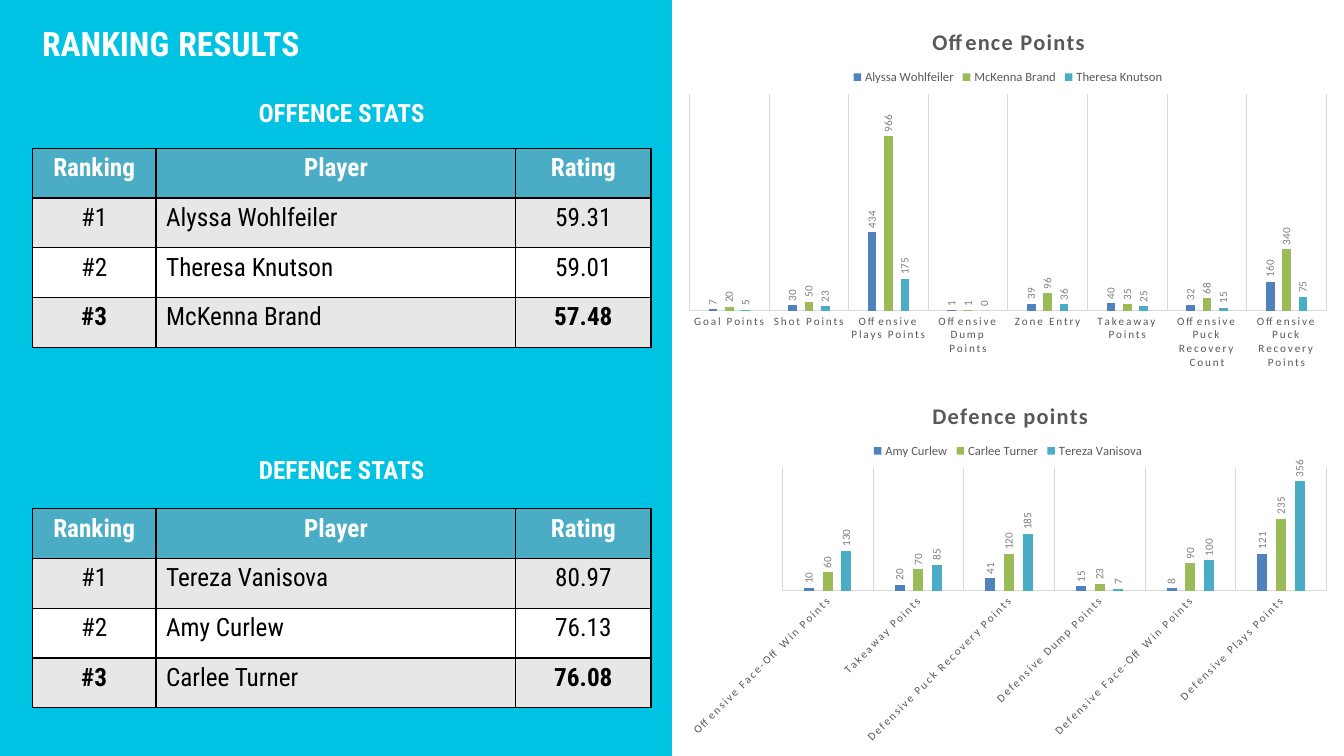
"""Build the ranking results slide with two tables and two column charts."""
from lxml.etree import SubElement
from pptx import Presentation
from pptx.chart.data import CategoryChartData
from pptx.dml.color import RGBColor
from pptx.enum.chart import XL_CHART_TYPE, XL_LABEL_POSITION, XL_LEGEND_POSITION, XL_TICK_MARK
from pptx.enum.shapes import MSO_SHAPE
from pptx.enum.text import PP_ALIGN
from pptx.oxml import parse_xml
from pptx.oxml.ns import nsdecls, qn
from pptx.util import Pt

CYAN = RGBColor(0x00, 0xC2, 0xE2)
WHITE = RGBColor(0xFF, 0xFF, 0xFF)
BLACK = RGBColor(0x00, 0x00, 0x00)
BAND = RGBColor(0xE7, 0xE7, 0xE7)
BLUE = RGBColor(0x4F, 0x81, 0xBD)
GREEN = RGBColor(0x9B, 0xBB, 0x59)
TEAL = RGBColor(0x4B, 0xAC, 0xC6)
RULE = RGBColor(0xD9, 0xD9, 0xD9)
DARK_GREY = RGBColor(0x59, 0x59, 0x59)
GREY = RGBColor(0x80, 0x80, 0x80)


def style_font(font, size, color, name="Calibri", bold=False):
    font.size, font.name, font.bold = Pt(size), name, bold
    font.color.rgb = color


def write(frame, *spans, size=18, color=WHITE, name="Roboto Condensed", bold=True,
          align=PP_ALIGN.CENTER):
    para = frame.paragraphs[0]
    para.alignment = align
    for text, span_size in spans:
        span = para.add_run()
        span.text = text
        style_font(span.font, span_size or size, color, name, bold)


def place(element, index, **edges):
    for old in element.findall(qn("c:layout")):
        element.remove(old)
    layout = parse_xml(f'<c:layout {nsdecls("c")}><c:manualLayout/></c:layout>')
    if element.tag == qn("c:plotArea"):
        SubElement(layout[0], qn("c:layoutTarget")).set("val", "inner")
    for axis in "xy":
        SubElement(layout[0], qn(f"c:{axis}Mode")).set("val", "edge")
    for key, value in edges.items():
        SubElement(layout[0], qn(f"c:{key}")).set("val", str(value))
    element.insert(index, layout)


def rotate(element, degrees):
    body = element.find(qn("c:txPr")).find(qn("a:bodyPr"))
    body.set("rot", str(degrees * 60000))
    body.set("vert", "horz")


class RankingSlide:
    def __init__(self, page):
        self.page = page
        self.left, self.width = 23, 442

    def panel(self, width, height):
        box = self.page.shapes.add_shape(MSO_SHAPE.RECTANGLE, 0, 0, Pt(width), Pt(height))
        box.shadow.inherit = False
        box.fill.solid()
        box.fill.fore_color.rgb = CYAN
        box.line.fill.background()

    def heading(self, top, height, *spans, width=None, **style):
        box = self.page.shapes.add_textbox(Pt(self.left), Pt(top), Pt(width or self.width), Pt(height))
        box.text_frame.word_wrap = True
        write(box.text_frame, *spans, **style)

    def cell(self, cell, text, fill, **style):
        write(cell.text_frame, (text, None), **style)
        cell.fill.solid()
        cell.fill.fore_color.rgb = fill
        for index, side in enumerate("LRTB"):
            cell._tc.get_or_add_tcPr().insert(index, parse_xml(
                f'<a:ln{side} {nsdecls("a")} w="12700"><a:solidFill>'
                f'<a:srgbClr val="{BLACK}"/></a:solidFill></a:ln{side}>'))

    def ranking(self, top, players):
        rows = [("Ranking", "Player", "Rating")]
        rows += [(f"#{rank}", *player) for rank, player in enumerate(players, 1)]
        table = self.page.shapes.add_table(len(rows), 3, Pt(self.left), Pt(top),
                                           Pt(self.width), Pt(142)).table
        for column, width in zip(table.columns, (88.5, 257, 96.5)):
            column.width = Pt(width)
        for r, row in enumerate(rows):
            table.rows[r].height = Pt(35.5)
            fill = TEAL if r == 0 else BAND if r % 2 else WHITE
            for c, text in enumerate(row):
                name_cell = r > 0 and c == 1
                self.cell(table.cell(r, c), text, fill,
                          color=BLACK if r else WHITE,
                          bold=r == 0 or (r == 3 and not name_cell),
                          align=PP_ALIGN.LEFT if name_cell else PP_ALIGN.CENTER)

    def chart(self, top, title, categories, series, maximum, angle, title_left, legend, plot):
        data = CategoryChartData()
        data.categories = categories
        for name, values in series:
            data.add_series(name, values)
        chart = self.page.shapes.add_chart(XL_CHART_TYPE.COLUMN_CLUSTERED, Pt(483), Pt(top),
                                           Pt(474), Pt(267), data).chart
        style_font(chart.font, 10, BLACK)
        chart.has_title = True
        write(chart.chart_title.text_frame, (title, 16), color=DARK_GREY, name="Calibri")
        chart.chart_title.text_frame.paragraphs[0].runs[0].font._element.set("spc", "100")
        place(chart.chart_title._element, 1, x=title_left, y=0.05)

        chart.has_legend = True
        chart.legend.position = XL_LEGEND_POSITION.TOP
        chart.legend.include_in_layout = False
        style_font(chart.legend.font, 9, DARK_GREY)
        place(chart.legend._element, 1, x=legend[0], y=0.16, w=legend[1], h=0.07)
        place(chart._chartSpace.chart.plotArea, 0, **plot)

        axis = chart.category_axis
        axis.major_tick_mark = XL_TICK_MARK.NONE
        axis.has_major_gridlines = True
        for line in (axis.format.line, axis.major_gridlines.format.line):
            line.color.rgb, line.width = RULE, Pt(0.75)
        style_font(axis.tick_labels.font, 8, DARK_GREY)
        axis.tick_labels.font._element.set("spc", "120")
        rotate(axis._element, angle)
        values_axis = chart.value_axis
        values_axis.has_major_gridlines = False
        values_axis.minimum_scale, values_axis.maximum_scale = 0, maximum
        values_axis.visible = False

        bars = chart.plots[0]
        bars.gap_width, bars.overlap, bars.vary_by_categories = 444, -90, False
        for bar, color in zip(bars.series, (BLUE, GREEN, TEAL)):
            bar.format.fill.solid()
            bar.format.fill.fore_color.rgb = color
            labels = bar.data_labels
            labels.show_value = True
            labels.position = XL_LABEL_POSITION.OUTSIDE_END
            style_font(labels.font, 8, GREY)
            rotate(labels._element, -90)


def main():
    deck = Presentation()
    deck.slide_width, deck.slide_height = Pt(960), Pt(540)
    slide = RankingSlide(deck.slides.add_slide(deck.slide_layouts[6]))
    slide.panel(480, 540)
    slide.chart(
        3, "Offence Points",
        ["Goal Points", "Shot Points", "Offensive Plays Points", "Offensive Dump Points",
         "Zone Entry", "Takeaway Points", "Offensive Puck Recovery Count",
         "Offensive Puck Recovery Points"],
        [("Alyssa Wohlfeiler", (7, 30, 434, 1, 39, 40, 32, 160)),
         ("McKenna Brand", (20, 50, 966, 1, 96, 35, 68, 340)),
         ("Theresa Knutson", (5, 23, 175, 0, 36, 25, 15, 75))],
        maximum=1200, angle=0, title_left=0.38, legend=(0.26, 0.48),
        plot={"x": 0.02, "y": 0.24, "w": 0.96, "h": 0.58})
    slide.chart(
        270, "Defence points",
        ["Offensive Face-Off Win Points", "Takeaway Points", "Defensive Puck Recovery Points",
         "Defensive Dump Points", "Defensive Face-Off Win Points", "Defensive Plays Points"],
        [("Amy Curlew", (10, 20, 41, 15, 8, 121)),
         ("Carlee Turner", (60, 70, 120, 23, 90, 235)),
         ("Tereza Vanisova", (130, 85, 185, 7, 100, 356))],
        maximum=400, angle=-45, title_left=0.38, legend=(0.29, 0.42),
        plot={"x": 0.16, "y": 0.24, "w": 0.82, "h": 0.33})
    slide.heading(8.5, 41, ("RANKING", 24), (" ", 28), ("RESULTS", 24),
                  width=244, align=PP_ALIGN.LEFT)
    slide.ranking(106, [("Alyssa Wohlfeiler", "59.31"), ("Theresa Knutson", "59.01"),
                        ("McKenna Brand", "57.48")])
    slide.ranking(363.5, [("Tereza Vanisova", "80.97"), ("Amy Curlew", "76.13"),
                          ("Carlee Turner", "76.08")])
    slide.heading(66, 29, ("OFFENCE STATS", 18))
    slide.heading(321, 29, ("DEFENCE STATS", 18))
    deck.save("out.pptx")


if __name__ == "__main__":
    main()
